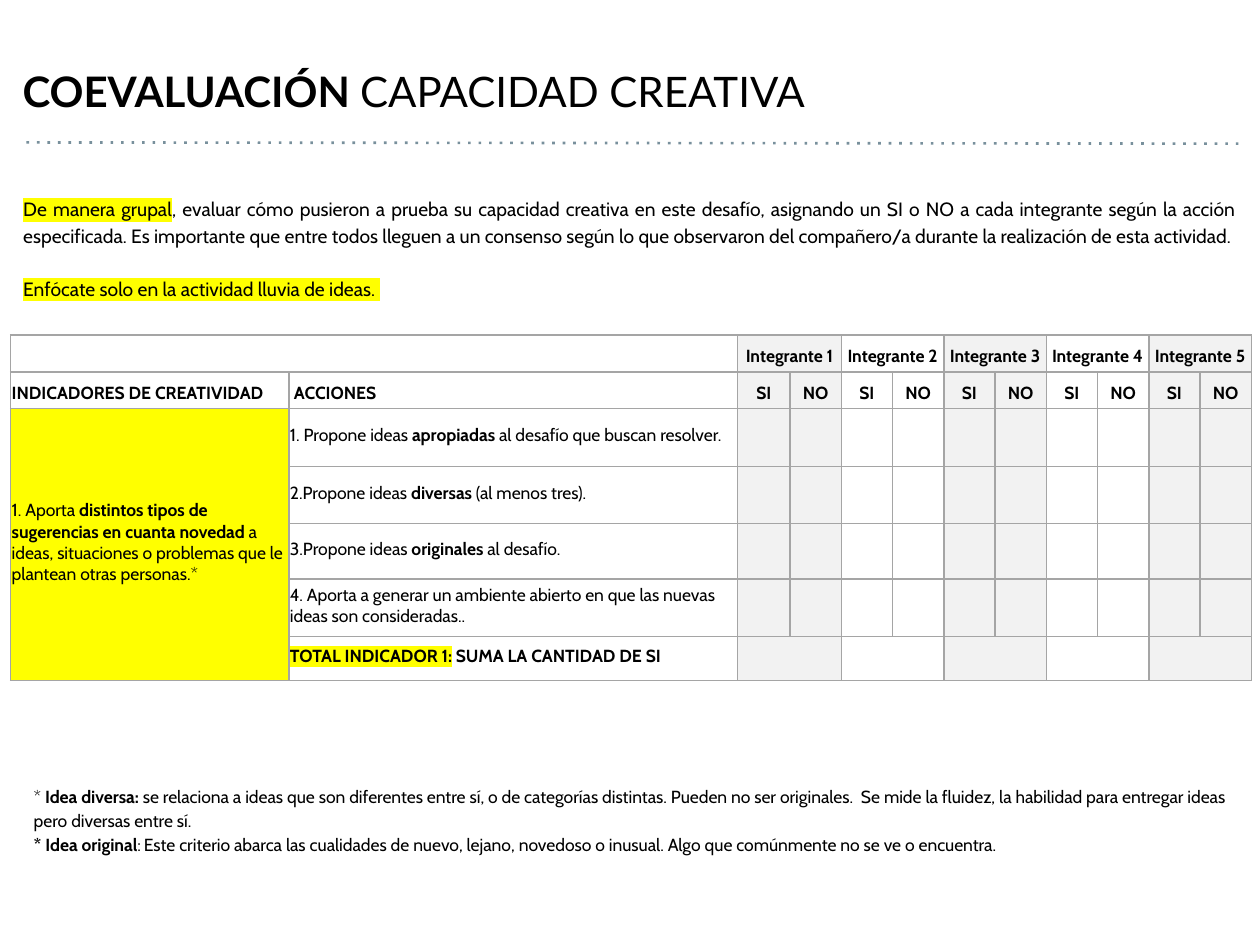
from dataclasses import dataclass

from pptx import Presentation
from pptx import util as u
from pptx.dml.color import RGBColor
from pptx.enum import shapes, text
from pptx.oxml import parse_xml
from pptx.oxml.ns import nsdecls, qn

Pt = u.Pt


@dataclass(frozen=True)
class Theme:
    """Colours, fonts and type sizes of the slide."""
    ink: str = "000000"
    mark: str = "FFFF00"
    white: str = "FFFFFF"
    grey: str = "F2F2F2"
    edge: str = "A5A5A5"
    dots: str = "78909C"
    head: tuple = ("Lato", 24)
    body: tuple = ("Cabin", 11)
    cell: tuple = ("Cabin", 10)
    thin: tuple = ("Arial", 6)


T = Theme()
ACTIONS = [
    [("1. Propone ideas ", ""), ("apropiadas", "b"),
     (" al desafío que buscan resolver.", "")],
    [("2.Propone ideas ", ""), ("diversas", "b"), (" (al menos tres).", "")],
    [("3.Propone ideas ", ""), ("originales", "b"), (" al desafío.", "")],
    [("4. Aporta a generar un ambiente abierto en que las nuevas ideas son "
      "consideradas..", "")],
    [("TOTAL INDICADOR 1:", "bh"), (" SUMA LA CANTIDAD DE SI", "b")],
]
GOAL = [("1. Aporta", ""),
        (" distintos tipos de sugerencias en cuanta novedad", "b"),
        (" a ideas, situaciones o problemas que le plantean otras personas.*", "")]


def node(xml):
    """Parse a fragment of drawing XML, given as {ns} template."""
    return parse_xml(xml.replace("{ns}", nsdecls("a")))


def write(para, parts, type_):
    """Add runs with flags: b bold, h highlighted, s thin spacer."""
    for words, flags in parts:
        run = para.add_run()
        run.text = words
        font = run.font
        name, size = T.thin if "s" in flags else type_
        font.name, font.size, font.bold = name, Pt(size), "b" in flags
        font.color.rgb = RGBColor.from_string(T.ink)
        if "h" in flags:
            fill = run._r.rPr.find(qn("a:solidFill"))
            fill.addnext(node(
                f'<a:highlight {{ns}}><a:srgbClr val="{T.mark}"/></a:highlight>'))


def frame(slide, box, inset):
    """Add a wrapping text box with left-right and top-bottom insets."""
    area = slide.shapes.add_textbox(*map(Pt, box)).text_frame
    area.word_wrap = True
    area.margin_left = area.margin_right = Pt(inset[0])
    area.margin_top = area.margin_bottom = Pt(inset[1])
    return area


def add_head(slide, box):
    """Place the title and the dotted rule below it."""
    left, top, width, height = box
    area = frame(slide, box, (7.2, 7.2))
    area.vertical_anchor = text.MSO_ANCHOR.MIDDLE
    write(area.paragraphs[0],
          [("COEVALUACIÓN ", "b"), ("CAPACIDAD CREATIVA", "")], T.head)
    rule = slide.shapes.add_connector(
        shapes.MSO_CONNECTOR.STRAIGHT, Pt(left + 9.3), Pt(top + 52.6),
        Pt(left + width + 20.6), Pt(top + 53.3))
    rule.line.color.rgb = RGBColor.from_string(T.dots)
    rule.line.width = Pt(1.5)
    props = rule._element.spPr
    props.find(qn("a:ln")).append(node('<a:prstDash {ns} val="dot"/>'))
    props.append(node("<a:effectLst {ns}/>"))


def add_intro(slide, box):
    """Place the instructions for the group."""
    area = frame(slide, box, (7.2, 3.6))
    first, last = area.paragraphs[0], area.add_paragraph()
    for para in (first, last):
        para.alignment = text.PP_ALIGN.JUSTIFY
        para.line_spacing = 1.15
    last.space_before = Pt(15.1)
    write(first, [
        ("De manera grupal", "h"),
        (", evaluar cómo pusieron a prueba su capacidad creativa en este "
         "desafío, asignando un SI o NO a cada integrante según la acción "
         "especificada. Es importante que entre todos lleguen a un consenso "
         "según lo que observaron del compañero/a durante la realización de "
         "esta actividad.", "")], T.body)
    write(last, [("Enfócate solo en la actividad lluvia de ideas. ", "h")], T.body)


def dress(cell, fill):
    """Give a cell its insets, fill, borders and small empty line."""
    cell.margin_left = cell.margin_right = cell.margin_top = Pt(0.7)
    cell.margin_bottom = Pt(2.9)
    cell.vertical_anchor = text.MSO_ANCHOR.MIDDLE
    cell.fill.solid()
    cell.fill.fore_color.rgb = RGBColor.from_string(fill)
    for spot, side in enumerate("LRTB"):
        cell._tc.tcPr.insert(spot, node(
            f'<a:ln{side} {{ns}} w="{Pt(1)}"><a:solidFill><a:srgbClr '
            f'val="{T.edge}"/></a:solidFill></a:ln{side}>'))
    end = cell.text_frame.paragraphs[0]._p.get_or_add_endParaRPr()
    end.set("sz", str(T.cell[1] * 100))


def label(cell, words, center=True):
    """Write a bold heading at the foot of a cell."""
    cell.vertical_anchor = text.MSO_ANCHOR.BOTTOM
    para = cell.text_frame.paragraphs[0]
    if center:
        para.alignment = text.PP_ALIGN.CENTER
    write(para, [(words, "b")], T.cell)


def add_grid(slide, box):
    """Place the table of actions against group members."""
    wide = [159, 256.5, 30] + [29.3] * 9
    tall = [21, 21, 33, 32.7, 31.7, 32.9, 25.1]
    table = slide.shapes.add_table(len(tall), len(wide), *map(Pt, box)).table
    table.first_row = table.horz_banding = False
    for col, size in zip(table.columns, wide):
        col.width = Pt(size)
    for row, size in zip(table.rows, tall):
        row.height = Pt(size)
    for r in range(len(tall)):
        for c in range(len(wide)):
            shade = c > 1 and (c // 2) % 2
            fill = T.mark if c == 0 and r > 1 else T.grey if shade else T.white
            dress(table.cell(r, c), fill)
    table.cell(0, 0).merge(table.cell(0, 1))
    table.cell(2, 0).merge(table.cell(6, 0))
    label(table.cell(1, 0), "INDICADORES DE CREATIVIDAD", False)
    label(table.cell(1, 1), " ACCIONES", False)
    for num, c in enumerate(range(2, len(wide), 2), 1):
        for r in (0, 6):
            table.cell(r, c).merge(table.cell(r, c + 1))
        label(table.cell(0, c), f"Integrante {num}")
        label(table.cell(1, c), "SI")
        label(table.cell(1, c + 1), "NO")
    write(table.cell(2, 0).text_frame.paragraphs[0], GOAL, T.cell)
    for r, parts in enumerate(ACTIONS, 2):
        write(table.cell(r, 1).text_frame.paragraphs[0], parts, T.cell)


def add_notes(slide, box):
    """Place the two definitions at the foot."""
    area = frame(slide, box, (7.2, 7.2))
    first, last = area.paragraphs[0], area.add_paragraph()
    first.line_spacing = last.line_spacing = 1.15
    write(first, [
        ("* ", ""), ("Idea diversa: ", "b"),
        ("se relaciona a ideas que son diferentes entre sí, o de categorías "
         "distintas. Pueden no ser originales.  Se mide la fluidez, la "
         "habilidad para entregar ideas pero diversas entre sí.", "")], T.cell)
    write(last, [
        ("* Idea original", "b"), (":", ""), (" ", "bs"),
        ("Este criterio abarca las cualidades de nuevo, lejano, novedoso o "
         "inusual. Algo que comúnmente no se ve o encuentra.", "")], T.cell)


def main():
    """Build the slide and save it."""
    deck = Presentation()
    deck.slide_width, deck.slide_height = Pt(720), Pt(540)
    slide = deck.slides.add_slide(deck.slide_layouts[6])
    add_head(slide, (5.8, 28.8, 682.6, 46))
    add_intro(slide, (6.2, 107.3, 707.8, 51))
    add_grid(slide, (6, 191.5, 709.2, 197.4))
    add_notes(slide, (12.2, 440, 702, 54.7))
    deck.save("out.pptx")


if __name__ == "__main__":
    main()
